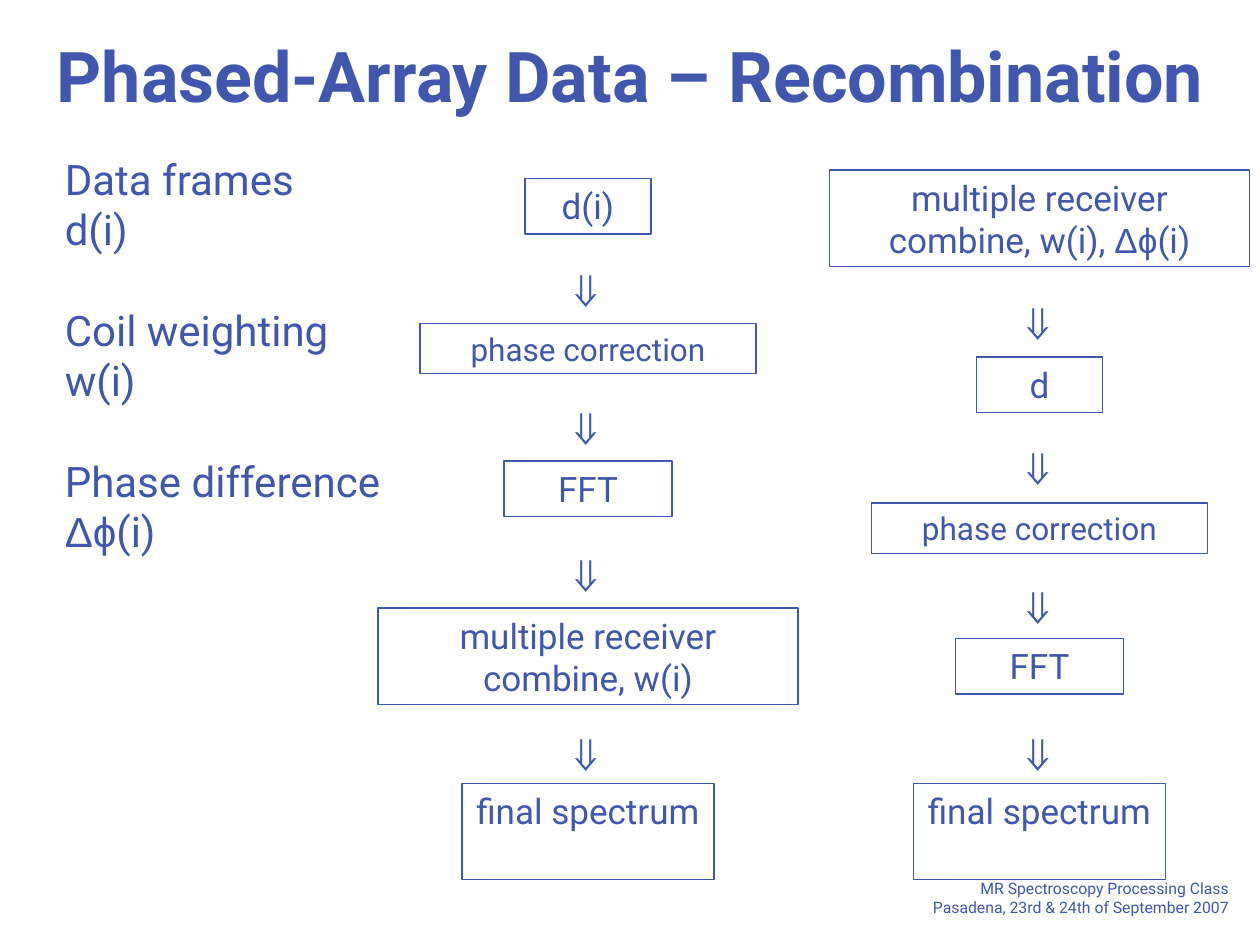
from pptx import Presentation
from pptx.dml.color import RGBColor
from pptx.enum.shapes import MSO_SHAPE
from pptx.enum.text import MSO_ANCHOR, PP_ALIGN
from pptx.util import Inches, Pt

COLORS = {"ink": "4157AD"}
LEFT, CENTER, RIGHT = PP_ALIGN.LEFT, PP_ALIGN.CENTER, PP_ALIGN.RIGHT
TOP, BOTTOM = MSO_ANCHOR.TOP, MSO_ANCHOR.BOTTOM
RECTANGLE = MSO_SHAPE.RECTANGLE

BODY_FONT, SYMBOL_FONT = "Roboto", "Arial"
GREEK = "Δϕ"
COLUMNS, ROWS = 120, 90  # square grid, twelve cells to the inch
ARROW_WIDTH, ARROW_HEIGHT, ARROW_OFFSET = 7, 6.8, 3

# Box kinds: width, height, text size
SMALL = (12, 5.3, 20)
MEDIUM = (16, 5.3, 20)
PHASE = (32, 4.8, 18)
COMBINE = (40, 9.2, 20)
FINAL = (24, 9.2, 20)

# Flows: centre column, steps (top row, kind, text), arrow rows
FLOWS = [
    (56,
     [(17, SMALL, "d(i)"),
      (30.8, PHASE, "phase correction"),
      (43.9, MEDIUM, "FFT"),
      (57.9, COMBINE, "multiple receiver combine, w(i)"),
      (74.6, FINAL, "final spectrum")],
     [24, 37.2, 51.2, 68.2]),
    (99,
     [(16.2, COMBINE, "multiple receiver combine, w(i), Δϕ(i)"),
      (34, SMALL, "d"),
      (47.9, PHASE, "phase correction"),
      (60.8, MEDIUM, "FFT"),
      (74.6, FINAL, "final spectrum")],
     [27.2, 41, 54.2, 68.2]),
]

LEGEND = [
    ("Data frames", "d(i)"),
    ("Coil weighting", "w(i)"),
    ("Phase difference", "Δϕ(i)"),
]


def cells(*counts):
    """Turn grid counts into lengths."""
    return [Inches(count / 12) for count in counts]


def set_frame(box, margins=True, anchor=TOP):
    frame = box.text_frame
    frame.word_wrap = True
    frame.vertical_anchor = anchor
    if not margins:
        frame.margin_left = frame.margin_right = 0
        frame.margin_top = frame.margin_bottom = 0
    return frame


def write(para, text, size, align=LEFT, font=BODY_FONT, bold=False):
    """Fill a paragraph, setting Greek symbols in their own font."""
    para.alignment = align
    para.font.size = Pt(size)
    para.font.bold = bold
    para.font.name = font
    para.font.color.rgb = RGBColor.from_string(COLORS["ink"])
    before, symbols, after = text.partition(GREEK)
    for part in filter(None, (before, symbols, after)):
        span = para.add_run()
        span.text = part
        if part == GREEK:
            span.font.name = SYMBOL_FONT


def next_para(frame, index):
    return frame.add_paragraph() if index else frame.paragraphs[0]


def add_title(page):
    box = page.shapes.add_textbox(*cells(0, 3.7, COLUMNS, 16.8))
    para = set_frame(box, margins=False).paragraphs[0]
    write(para, "Phased-Array Data – Recombination", 40, CENTER, bold=True)
    para.line_spacing = 0.95


def add_legend(page):
    box = page.shapes.add_textbox(*cells(5, 14, 41, 39.6))
    frame = set_frame(box)
    for group, lines in enumerate(LEGEND):
        for index, line in enumerate(lines):
            para = next_para(frame, group + index)
            write(para, line, 24)
            if group and not index:
                para.space_before = Pt(28.75)


def add_step(page, center, top, kind, text):
    width, height, size = kind
    box = page.shapes.add_shape(
        RECTANGLE, *cells(center - width / 2, top, width, height))
    box.shadow.inherit = False
    box.fill.background()
    box.line.color.rgb = RGBColor.from_string(COLORS["ink"])
    box.line.width = Pt(0.75)
    write(set_frame(box).paragraphs[0], text, size, CENTER)


def add_arrow(page, center, top):
    box = page.shapes.add_textbox(
        *cells(center - ARROW_OFFSET, top, ARROW_WIDTH, ARROW_HEIGHT))
    write(set_frame(box).paragraphs[0], "⇓", 28, font=SYMBOL_FONT, bold=True)


def add_footer(page):
    box = page.shapes.add_textbox(*cells(64.2, 82, 52.8, 5.3))
    frame = set_frame(box, margins=False, anchor=BOTTOM)
    lines = ("MR Spectroscopy Processing Class",
             "Pasadena, 23rd & 24th of September 2007")
    for index, line in enumerate(lines):
        para = next_para(frame, index)
        write(para, line, 9, RIGHT)
        para.line_spacing = Pt(11)


def main():
    deck = Presentation()
    deck.slide_width, deck.slide_height = cells(COLUMNS, ROWS)
    page = deck.slides.add_slide(deck.slide_layouts[6])

    add_footer(page)
    add_title(page)
    add_legend(page)

    # Two processing orders, side by side
    for center, steps, arrow_rows in FLOWS:
        for top, kind, text in steps:
            add_step(page, center, top, kind, text)
        for top in arrow_rows:
            add_arrow(page, center, top)

    deck.save("out.pptx")


if __name__ == "__main__":
    main()
